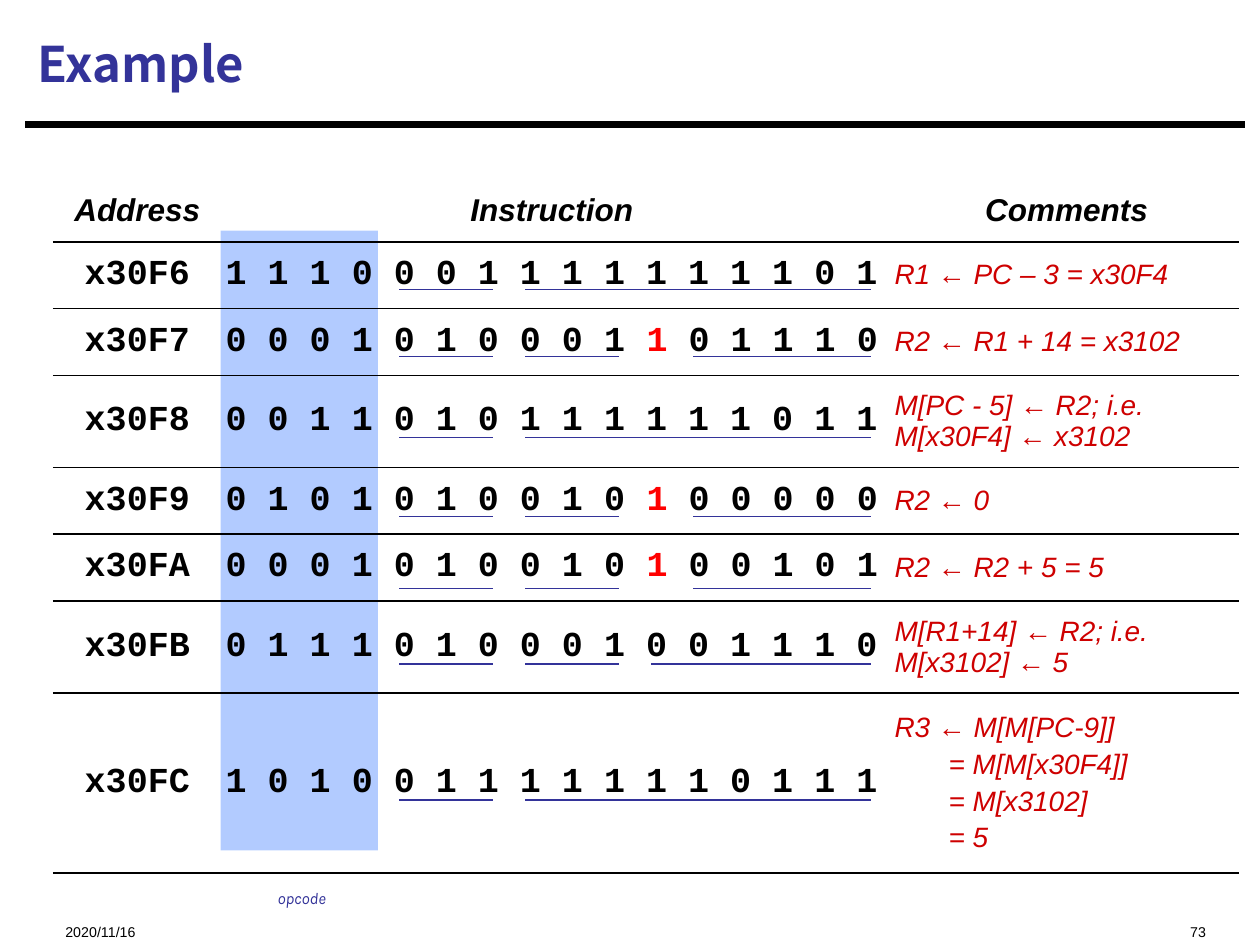
from lxml import etree
from pptx import Presentation
from pptx.dml.color import RGBColor
from pptx.enum.shapes import MSO_CONNECTOR as CONNECTOR, MSO_SHAPE as SHAPE
from pptx.enum.text import MSO_ANCHOR as ANCHOR, MSO_AUTO_SIZE as AUTO_SIZE, PP_ALIGN as ALIGN
from pptx.oxml.ns import qn
from pptx.util import Inches, Pt

BLACK = RGBColor(0x00, 0x00, 0x00)
NAVY = RGBColor(0x33, 0x33, 0x99)
SKY = RGBColor(0x66, 0x99, 0xFF)
RED = RGBColor(0xFF, 0x00, 0x00)
CRIMSON = RGBColor(0xCE, 0x00, 0x00)

HEADINGS = ["Address", "Instruction", "Comments"]
COLUMN_WIDTHS = [1.24, 5.34, 2.83]
HEADING_HEIGHT = 0.5
IMMEDIATE_BIT = 10

# Address, bits, comment paragraphs, row height, underline y, fields (first bit, last bit)
INSTRUCTIONS = [
    ("x30F6", "1110001111111101", ["R1 ← PC – 3 = x30F4"],
     0.53, 2.3, [(4, 6), (7, 15)]),
    ("x30F7", "0001010001101110", ["R2 ← R1 + 14 = x3102"],
     0.53, 2.83, [(4, 6), (7, 9), (11, 15)]),
    ("x30F8", "0011010111111011", ["M[PC - 5] ← R2; i.e.\nM[x30F4] ← x3102"],
     0.73, 3.47, [(4, 6), (7, 15)]),
    ("x30F9", "0101010010100000", ["R2 ← 0"],
     0.53, 4.1, [(4, 6), (7, 9), (11, 15)]),
    ("x30FA", "0001010010100101", ["R2 ← R2 + 5 = 5"],
     0.53, 4.67, [(4, 6), (7, 9), (11, 15)]),
    ("x30FB", "0111010001001110", ["M[R1+14] ← R2; i.e.\nM[x3102] ← 5"],
     0.73, 5.27, [(4, 6), (7, 9), (10, 15)]),
    ("x30FC", "1010011111110111",
     ["R3 ← M[M[PC-9]]", "= M[M[x30F4]]", "= M[x3102]", "= 5"],
     1.43, 6.35, [(4, 6), (7, 15)]),
]


def add_run(paragraph, text, size, font_name, color, bold=False, italic=False):
    run = paragraph.add_run()
    run.text = text
    font = run.font
    font.size, font.name, font.bold, font.italic = Pt(size), font_name, bold, italic
    font.color.rgb = color
    return run


def add_line(slide, x1, x2, y, color, width):
    line = slide.shapes.add_connector(
        CONNECTOR.STRAIGHT, Inches(x1), Inches(y), Inches(x2), Inches(y))
    line.line.color.rgb = color
    line.line.width = Pt(width)
    etree.SubElement(line._element.spPr, qn("a:effectLst"))


def add_title(slide, left, top, width, height):
    title = slide.shapes.title
    title.left, title.top = Inches(left), Inches(top)
    title.width, title.height = Inches(width), Inches(height)
    title.text_frame.vertical_anchor = ANCHOR.MIDDLE
    paragraph = title.text_frame.paragraphs[0]
    paragraph.alignment = ALIGN.LEFT
    add_run(paragraph, "Example", 28, "Noto Sans CJK SC", NAVY, bold=True)
    add_line(slide, left, 9.88, 0.99, BLACK, 3.75)


def add_subscript_label(slide, text, left, top, width, height, align,
                        size=14, font_name="Arial", color=BLACK, italic=False, wrap=True):
    label = slide.shapes.add_textbox(
        Inches(left), Inches(top), Inches(width), Inches(height))
    frame = label.text_frame
    frame.word_wrap = wrap
    frame.auto_size = AUTO_SIZE.NONE if wrap else AUTO_SIZE.SHAPE_TO_FIT_TEXT
    frame.paragraphs[0].alignment = align
    run = add_run(frame.paragraphs[0], text, size, font_name, color, italic=italic)
    run.font._element.set("baseline", "-25000")


def add_opcode_band(slide, left, top, width, height):
    band = slide.shapes.add_shape(
        SHAPE.RECTANGLE, Inches(left), Inches(top), Inches(width), Inches(height))
    band.shadow.inherit = False
    band.line.fill.background()
    band.fill.solid()
    band.fill.fore_color.rgb = SKY
    color = band._element.spPr.find(qn("a:solidFill"))[0]
    etree.SubElement(color, qn("a:alpha"), val="50000")


def format_cell(cell, has_top_rule):
    cell.fill.background()
    cell.vertical_anchor = ANCHOR.MIDDLE
    cell.margin_left = cell.margin_top = cell.margin_bottom = Inches(0.1)
    cell.margin_right = 0
    properties = cell._tc.get_or_add_tcPr()
    rules = {"lnL": False, "lnR": False, "lnT": has_top_rule, "lnB": True}
    for position, (side, visible) in enumerate(rules.items()):
        border = etree.Element(qn(f"a:{side}"), w=str(Pt(1)))
        if visible:
            fill = etree.SubElement(border, qn("a:solidFill"))
            etree.SubElement(fill, qn("a:srgbClr"), val=str(BLACK))
        else:
            etree.SubElement(border, qn("a:noFill"))
        properties.insert(position, border)


def fill_bits(paragraph, bits, fields):
    text = " ".join(bits)
    flag = 2 * IMMEDIATE_BIT
    has_flag = (IMMEDIATE_BIT + 1, 15) in fields
    pieces = [(text, BLACK)]
    if has_flag:
        pieces = [(text[:flag], BLACK), (text[flag], RED), (text[flag + 1:], BLACK)]
    for piece, color in pieces:
        add_run(paragraph, piece, 20, "Courier New", color, bold=True)


def fill_comment(frame, comments):
    for index, comment in enumerate(comments):
        paragraph = frame.add_paragraph() if index else frame.paragraphs[0]
        if index:
            paragraph.space_before = Pt(3.2)
            paragraph._p.get_or_add_pPr().set("marL", str(Inches(0.43)))
        for line_index, line in enumerate(comment.split("\n")):
            if line_index:
                paragraph.add_line_break()
            add_run(paragraph, line, 16, "Arial", CRIMSON, italic=True)


def add_program_table(slide, left, top, width, height):
    table = slide.shapes.add_table(
        len(INSTRUCTIONS) + 1, len(HEADINGS),
        Inches(left), Inches(top), Inches(width), Inches(height)).table
    table.first_row = table.horz_banding = False
    for column, column_width in zip(table.columns, COLUMN_WIDTHS):
        column.width = Inches(column_width)
    heights = [HEADING_HEIGHT] + [entry[3] for entry in INSTRUCTIONS]
    for index, (row, row_height) in enumerate(zip(table.rows, heights)):
        row.height = Inches(row_height)
        for cell in row.cells:
            format_cell(cell, has_top_rule=index > 0)

    # Headings
    for cell, heading in zip(table.rows[0].cells, HEADINGS):
        paragraph = cell.text_frame.paragraphs[0]
        paragraph.alignment = ALIGN.CENTER
        add_run(paragraph, heading, 18, "Arial", BLACK, bold=True, italic=True)

    # Instructions
    for index, (address, bits, comments, _, _, fields) in enumerate(INSTRUCTIONS, 1):
        address_cell, bits_cell, comment_cell = table.rows[index].cells
        for cell in (address_cell, bits_cell):
            cell.text_frame.paragraphs[0].alignment = ALIGN.CENTER
        add_run(address_cell.text_frame.paragraphs[0], address, 20, "Courier New",
                BLACK, bold=True)
        fill_bits(bits_cell.text_frame.paragraphs[0], bits, fields)
        fill_comment(comment_cell.text_frame, comments)


def add_field_underlines(slide, operand_left, bit_pitch):
    for *_, underline_y, fields in INSTRUCTIONS:
        for first, last in fields:
            start = operand_left + (first - 4) * bit_pitch
            end = start + (last - first) * bit_pitch + 0.08
            add_line(slide, start, end, underline_y, NAVY, 0.75)


def main():
    presentation = Presentation()
    presentation.slide_width, presentation.slide_height = Inches(10), Inches(7.5)
    slide = presentation.slides.add_slide(presentation.slide_layouts[5])
    add_title(slide, 0.2, 0.08, 9.67, 0.84)
    # Date and page number
    add_subscript_label(slide, "2020/11/16", 0.42, 7.15, 2.5, 0.27, ALIGN.LEFT)
    add_subscript_label(slide, "73", 6.67, 7.15, 3, 0.27, ALIGN.RIGHT)
    # Program listing with its opcode column
    add_opcode_band(slide, 1.75, 1.83, 1.25, 4.92)
    add_program_table(slide, 0.42, 1.42, 9.41, 5.51)
    add_subscript_label(slide, "opcode", 1.93, 6.85, 0.93, 0.37, ALIGN.CENTER,
                        size=16, font_name="Karla", color=NAVY, italic=True, wrap=False)
    add_field_underlines(slide, 3.17, 1 / 3)
    presentation.save("out.pptx")


if __name__ == "__main__":
    main()
